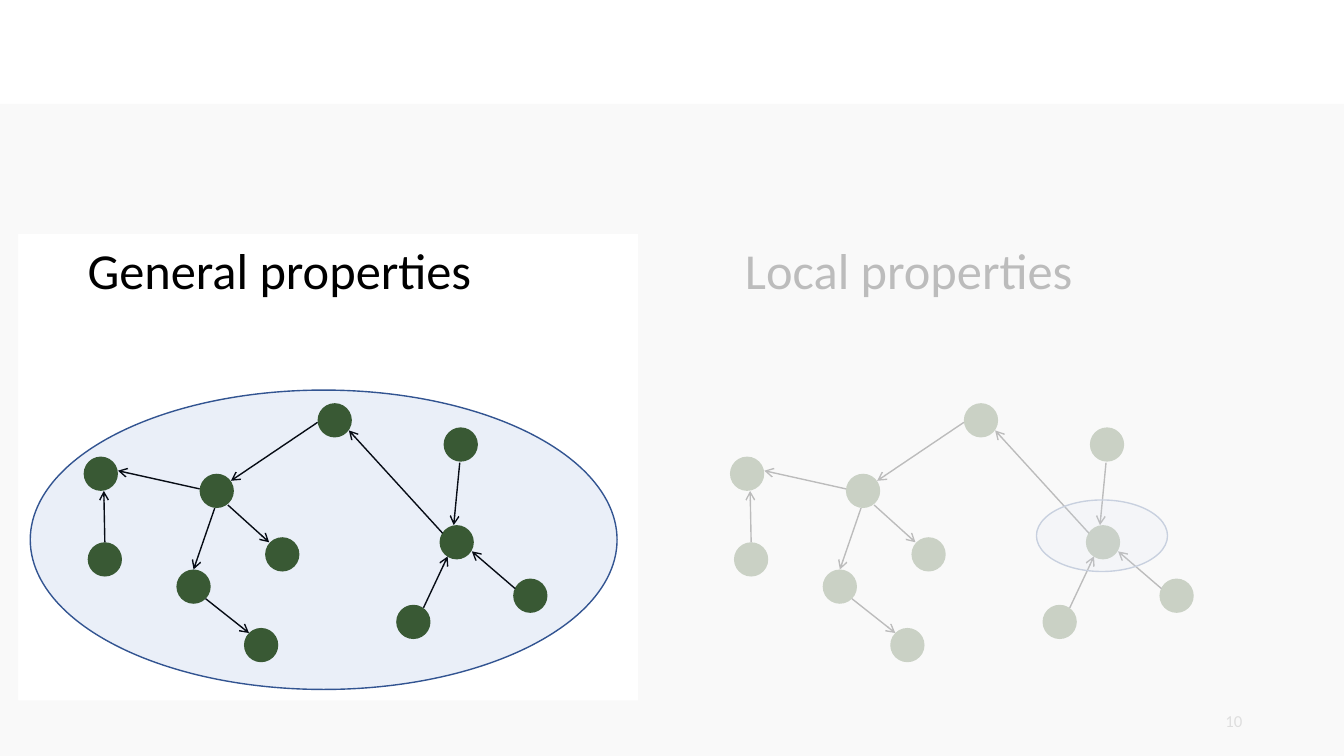
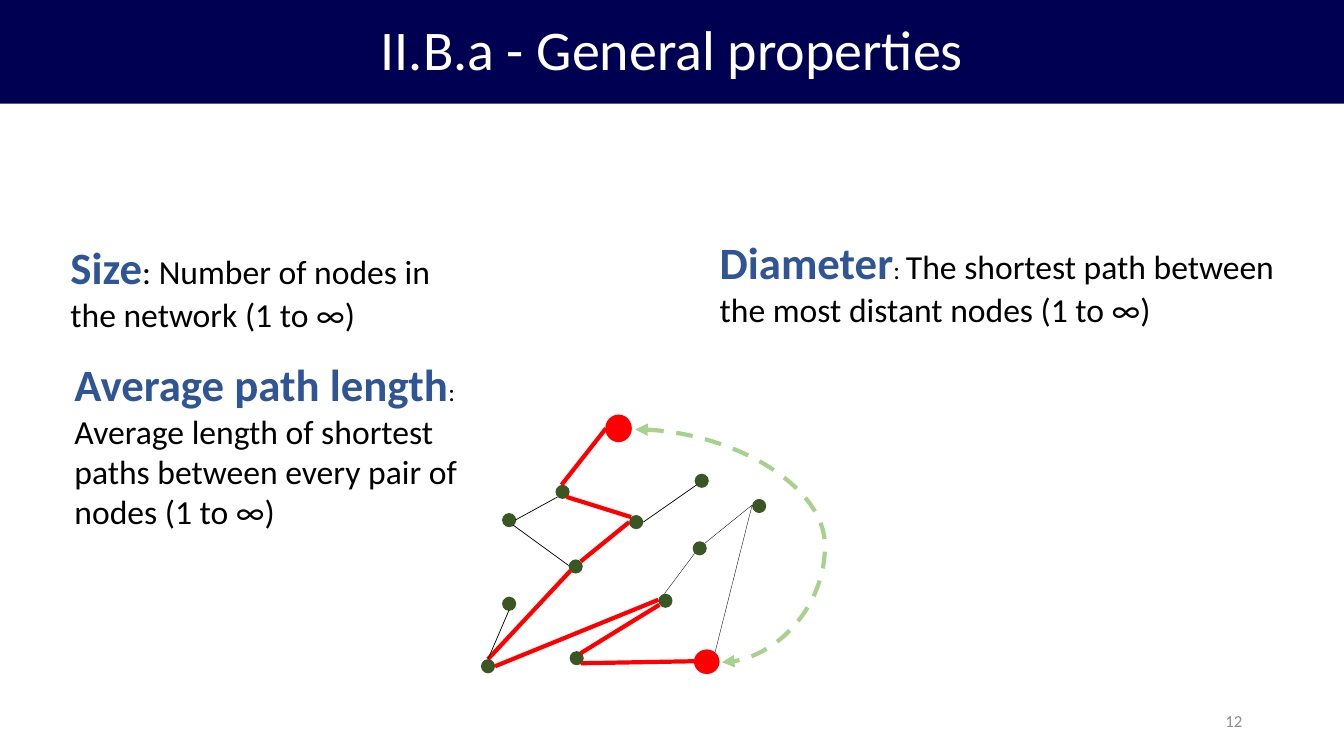
"""Build two slides on general and local network properties."""
from lxml import etree
from pptx import Presentation
from pptx.dml.color import RGBColor
from pptx.enum.dml import MSO_LINE
from pptx.enum.shapes import MSO_CONNECTOR as LINK, MSO_SHAPE as SHAPE
from pptx.enum.text import MSO_ANCHOR as ANCHOR, MSO_AUTO_SIZE as FIT, PP_ALIGN as ALIGN
from pptx.oxml.ns import qn
from pptx.util import Inches, Pt

BLACK = RGBColor(0x00, 0x00, 0x00)
WHITE = RGBColor(0xFF, 0xFF, 0xFF)
NAVY = RGBColor(0x00, 0x00, 0x53)
GREY = RGBColor(0x8C, 0x8C, 0x8C)
VEIL = RGBColor(0xF8, 0xF8, 0xF8)
TERM = RGBColor(0x2F, 0x55, 0x97)
BLUE = RGBColor(0x44, 0x72, 0xC4)
OUTLINE = RGBColor(0x32, 0x54, 0x91)
GREEN = RGBColor(0x38, 0x57, 0x23)
LIGHT_GREEN = RGBColor(0xA9, 0xD1, 0x8E)
RED = RGBColor(0xFF, 0x00, 0x00)
FONT = "Calibri"


def paint(shape, fill, outline=None, opacity=100):
    """Give a shape a flat fill and an optional one-point outline."""
    shape.shadow.inherit = False
    shape.fill.solid()
    shape.fill.fore_color.rgb = fill
    if opacity < 100:
        color = shape.fill._xPr.find(qn("a:solidFill"))[0]
        etree.SubElement(color, qn("a:alpha"), val=str(opacity * 1000))
    if outline is None:
        shape.line.fill.background()
    else:
        shape.line.color.rgb = outline
        shape.line.width = Pt(1)


def add_link(shapes, ends, color, width, arrows=None, kind=LINK.STRAIGHT, dash=None):
    """Draw a connector through (x1, y1, x2, y2), with arrowheads as asked."""
    link = shapes.add_connector(kind, *map(Inches, ends))
    link.line.color.rgb = color
    link.line.width = Pt(width)
    if dash is not None:
        link.line.dash_style = dash
    for tag, style in (arrows or {}).items():
        etree.SubElement(link.line._get_or_add_ln(), qn(tag), type=style)
    etree.SubElement(link._element.spPr, qn("a:effectLst"))
    return link


deck = Presentation()
deck.slide_width, deck.slide_height = Inches(13.33), Inches(7.5)
overview, details = [deck.slides.add_slide(deck.slide_layouts[6]) for _ in range(2)]

band = details.shapes.add_shape(SHAPE.RECTANGLE, 0, 0, deck.slide_width, Inches(1.03))
paint(band, NAVY)
title_frame = band.text_frame
title_frame.vertical_anchor = ANCHOR.MIDDLE

TITLE = {"size": Pt(40), "color": WHITE}
HEADING = {"size": Pt(36), "color": BLACK}
KEYWORD = {"size": Pt(32), "color": TERM, "bold": True}
COLON = {"size": Pt(18), "color": BLACK}
BODY = {"size": Pt(24), "color": BLACK}
NUMBER = {"size": Pt(12), "color": GREY}

texts = [(title_frame, ALIGN.CENTER, [("II.B.a - General properties", TITLE)])]
boxes = [
    (overview, (0.77, 2.32, 4.05, 0.71), [("General properties", HEADING)]),
    (overview, (7.29, 2.32, 3.48, 0.71), [("Local properties", HEADING)]),
    (details, (0.6, 2.33, 4.18, 1.04),
     [("Size", KEYWORD), (": Number of nodes in the network (1 to ∞)", BODY)]),
    (details, (7.04, 2.28, 5.7, 1.04),
     [("Diameter", KEYWORD), (": ", COLON),
      ("The shortest path between the most distant nodes (1 to ∞)", BODY)]),
    (details, (0.64, 3.49, 4.5, 1.85),
     [("Average path length", KEYWORD), (": ", COLON),
      ("Average length of shortest paths between every pair of nodes (1 to ∞)", BODY)]),
]
for page, place, spans in boxes:
    frame = page.shapes.add_textbox(*map(Inches, place)).text_frame
    frame.word_wrap = page is details
    frame.auto_size = FIT.SHAPE_TO_FIT_TEXT
    texts.append((frame, ALIGN.LEFT, spans))

for page, number in ((overview, "10"), (details, "12")):
    frame = page.shapes.add_textbox(*map(Inches, (9.42, 6.95, 3, 0.4))).text_frame
    frame.word_wrap = True
    frame.vertical_anchor = ANCHOR.MIDDLE
    texts.append((frame, ALIGN.RIGHT, [(number, NUMBER)]))

for frame, align, spans in texts:
    para = frame.paragraphs[0]
    para.alignment = align
    for words, look in spans:
        span = para.add_run()
        span.text = words
        span.font.name = FONT
        for name, value in look.items():
            if name == "color":
                span.font.color.rgb = value
            else:
                setattr(span.font, name, value)
title_frame.paragraphs[0].line_spacing = 0.9

GRAPH_SHIFT = 6.41
NODE_SIZE = 0.34
graph_nodes = [
    (1.75, 5.65), (2.42, 6.23), (3.93, 6), (4.36, 5.21), (1.98, 4.7), (0.83, 4.53),
    (0.87, 5.38), (2.63, 5.33), (3.15, 4), (4.4, 4.24), (5.09, 5.74),
]
graph_arrows = [
    (1.98, 4.85, 1.17, 4.67), (1.04, 5.38, 1.03, 4.87), (2.13, 5.04, 1.92, 5.65),
    (2.26, 5.01, 2.67, 5.38), (3.15, 4.19, 2.29, 4.77), (2.04, 5.94, 2.47, 6.28),
    (4.39, 5.29, 3.46, 4.27), (4.2, 6.03, 4.44, 5.52), (4.56, 4.59, 4.5, 5.21),
    (5.11, 5.84, 4.68, 5.47),
]
for shift in (0, GRAPH_SHIFT):
    for left, top in graph_nodes:
        place = (left + shift, top, NODE_SIZE, NODE_SIZE)
        paint(overview.shapes.add_shape(SHAPE.OVAL, *map(Inches, place)), GREEN)
    for x1, y1, x2, y2 in graph_arrows:
        add_link(overview.shapes, (x1 + shift, y1, x2 + shift, y2), BLACK, 1,
                 {"a:tailEnd": "arrow"})

for place in ((0.3, 3.87, 5.82, 2.97), (10.28, 4.96, 1.3, 0.71)):
    scope = overview.shapes.add_shape(SHAPE.OVAL, *map(Inches, place))
    paint(scope, BLUE, OUTLINE, 11)

window = [(0.18, 2.32), (0.18, 6.95), (6.33, 6.95), (6.33, 2.32)]
surround = [(0, 1.03), (13.33, 1.03), (13.33, 7.5), (0, 7.5)]
window, surround = [[(Inches(x), Inches(y)) for x, y in ring] for ring in (window, surround)]
outline = overview.shapes.build_freeform(*window[0])
outline.add_line_segments(window[1:], close=True)
outline.move_to(*surround[0])
outline.add_line_segments(surround[1:], close=True)
paint(outline.convert_to_shape(), VEIL, opacity=76)

network = details.shapes.add_group_shape().shapes
DOT_SIZE = 0.14
dots = [
    (4.98, 5.09), (5.64, 5.55), (4.98, 5.92), (5.51, 4.81), (6.53, 5.89), (5.65, 6.46),
    (6.24, 5.11), (6.87, 5.37), (4.77, 6.54), (7.46, 4.95), (6.89, 4.7),
]
for left, top in dots:
    place = (left, top, DOT_SIZE, DOT_SIZE)
    paint(network.add_shape(SHAPE.OVAL, *map(Inches, place)), GREEN)
for place in ((6.01, 4.12, 0.25, 0.26), (6.89, 6.45, 0.24, 0.23)):
    paint(network.add_shape(SHAPE.OVAL, *map(Inches, place)), RED, RED)

edges = [
    (RED, 3, [(5.57, 4.81, 6.01, 4.25), (5.76, 5.57, 6.24, 5.18), (4.84, 6.54, 5.66, 5.66),
              (5.76, 6.48, 6.54, 6), (4.91, 6.61, 6.53, 5.95), (5.76, 6.58, 6.89, 6.56),
              (6.26, 5.13, 5.62, 4.93)]),
    (BLACK, 0.5, [(5.64, 5.61, 5.09, 5.21), (6.38, 5.18, 6.91, 4.81),
                  (4.84, 6.54, 5.05, 6.05), (5.11, 5.16, 5.53, 4.93)]),
    (BLACK, 0.25, [(6.59, 5.89, 6.89, 5.49), (7.09, 6.48, 7.46, 5.01),
                   (6.99, 5.39, 7.46, 5.01)]),
]
for color, width, segments in edges:
    for ends in segments:
        add_link(network, ends, color, width)

span_arc = add_link(details.shapes, (6.3, 4.26, 7.16, 6.57), LIGHT_GREEN, 3,
                    {"a:headEnd": "triangle", "a:tailEnd": "triangle"},
                    LINK.CURVE, MSO_LINE.DASH)
geometry = span_arc._element.spPr.find(qn("a:prstGeom"))
bends = geometry.find(qn("a:avLst"))
if bends is None:
    bends = etree.SubElement(geometry, qn("a:avLst"))
etree.SubElement(bends, qn("a:gd"), name="adj1", fmla="val 219000")

deck.save("out.pptx")
